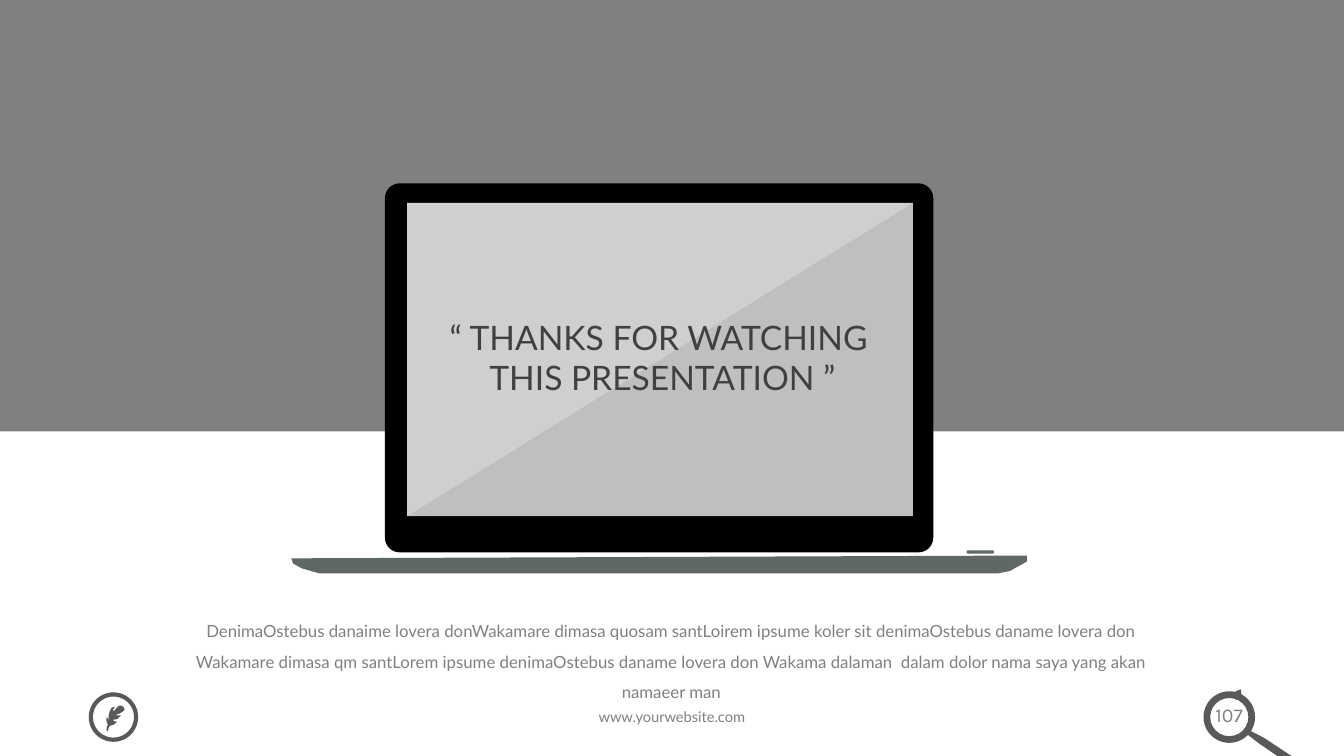
from lxml import etree
from pptx import Presentation
from pptx.dml.color import RGBColor
from pptx.enum.shapes import MSO_SHAPE
from pptx.enum.text import MSO_ANCHOR, MSO_AUTO_SIZE, PP_ALIGN
from pptx.oxml.ns import qn
from pptx.util import Cm, Pt

WHITE = RGBColor(0xFF, 0xFF, 0xFF)
BLACK = RGBColor(0, 0, 0)
GRAY = RGBColor(0x80, 0x80, 0x80)
SCREEN_GRAY = RGBColor(0xBF, 0xBF, 0xBF)
BASE_GRAY = RGBColor(0x5F, 0x67, 0x67)
ICON_GRAY = RGBColor(0x59, 0x59, 0x59)
TITLE_GRAY = RGBColor(0x40, 0x40, 0x40)

deck = Presentation()
deck.slide_width, deck.slide_height = Cm(33.87), Cm(19.05)
page = deck.slides.add_slide(deck.slide_layouts[6])


def add_preset(kind, left, top, width, height, color, *adjustments):
    shape = page.shapes.add_shape(kind, Cm(left), Cm(top), Cm(width), Cm(height))
    shape.shadow.inherit = False
    shape.fill.solid()
    shape.fill.fore_color.rgb = color
    shape.line.fill.background()
    for index, value in enumerate(adjustments):
        shape.adjustments[index] = value
    return shape


def add_outline(points, color):
    corners = [(Cm(x), Cm(y)) for x, y in points]
    builder = page.shapes.build_freeform(*corners[0], scale=1.0)
    builder.add_line_segments(corners[1:], close=True)
    shape = builder.convert_to_shape()
    shape.shadow.inherit = False
    shape.fill.solid()
    shape.fill.fore_color.rgb = color
    shape.line.fill.background()
    return shape


# Upper band
add_preset(MSO_SHAPE.RECTANGLE, 0, 0, 33.87, 10.87, GRAY)

# Laptop
add_preset(MSO_SHAPE.ROUNDED_RECTANGLE, 9.7, 4.62, 13.82, 9.3, BLACK, 0.04)
add_preset(MSO_SHAPE.RECTANGLE, 10.26, 5.11, 12.75, 7.9, SCREEN_GRAY)
add_outline([(7.34, 14.07), (7.39, 14.2), (7.6, 14.32), (8.05, 14.45),
             (25.15, 14.45), (25.45, 14.39), (25.88, 14.15), (25.88, 14)], BASE_GRAY)
add_preset(MSO_SHAPE.ROUNDED_RECTANGLE, 24.36, 13.87, 0.69, 0.08, BASE_GRAY, 0.4)

# Translucent glare on the screen
glare = add_outline([(23.01, 5.11), (10.26, 5.11), (10.26, 13.01)], WHITE)
glare_color = glare.fill._xPr.find(qn("a:solidFill"))[0]
etree.SubElement(glare_color, qn("a:alpha"), val="25000")

# Magnifier around the page number
arrow = add_preset(MSO_SHAPE.RIGHT_ARROW, 31.06, 17.35, 0.28, 0.28, ICON_GRAY, 0.32, 0.64)
arrow.rotation = 298.7
add_preset(MSO_SHAPE.DONUT, 30.33, 17.42, 1.3, 1.3, ICON_GRAY, 0.13)
add_outline([(31.52, 18.42), (31.85, 18.59), (32.82, 19.23), (32.86, 19.29),
             (32.82, 19.35), (32.72, 19.41), (31.75, 18.75), (31.45, 18.52)], ICON_GRAY)

# Feather badge
badge = add_preset(MSO_SHAPE.OVAL, 2.29, 17.5, 1.14, 1.14, WHITE)
badge.fill.background()
badge.line.color.rgb = ICON_GRAY
badge.line.width = Pt(3)
add_outline([(2.72, 18.42), (2.74, 18.34), (2.77, 18.29), (2.87, 18.26),
             (2.95, 18.19), (2.87, 18.17), (2.84, 18.14), (2.96, 18.12),
             (3.05, 18.03), (2.96, 18.03), (2.92, 18.01), (3.02, 17.98),
             (3.1, 17.93), (3.14, 17.88), (3.12, 17.83), (3.07, 17.78),
             (3, 17.78), (2.92, 17.86), (2.87, 17.93), (2.85, 17.88),
             (2.9, 17.81), (2.82, 17.83), (2.77, 17.91), (2.74, 18.03),
             (2.74, 18.16), (2.72, 18.11), (2.69, 18.06), (2.68, 18.16),
             (2.72, 18.26), (2.69, 18.34), (2.69, 18.42), (2.7, 18.43)], ICON_GRAY)

# Texts: place, lines, font, size, color, line spacing, anchor
DESCRIPTION = (
    "DenimaOstebus danaime lovera donWakamare dimasa quosam santLoirem ipsume "
    "koler sit denimaOstebus daname lovera don Wakamare dimasa qm santLorem ipsume "
    "denimaOstebus daname lovera don Wakama dalaman  dalam dolor nama saya yang "
    "akan namaeer man")
TITLE = ["“ THANKS FOR WATCHING", " THIS PRESENTATION ”"]
texts = [
    ((4.22, 15.27, 25.4, 1.7), [DESCRIPTION], "Lato", 12, GRAY, 1.5, MSO_ANCHOR.TOP),
    ((6.4, 7.85, 20.4, 2.31), TITLE, "Lato", 24, TITLE_GRAY, 1.0, MSO_ANCHOR.MIDDLE),
    ((10.8, 17.7, 12.27, 0.74), ["www.yourwebsite.com"], "Lato", 10.5, GRAY, 1.0, MSO_ANCHOR.TOP),
    ((30.2, 17.6, 1.55, 0.86), ["107"], "Karla", 14, GRAY, 1.0, MSO_ANCHOR.TOP),
]
for place, lines, font, size, color, spacing, anchor in texts:
    box = page.shapes.add_textbox(*[Cm(length) for length in place])
    frame = box.text_frame
    frame.word_wrap = True
    frame.auto_size = MSO_AUTO_SIZE.SHAPE_TO_FIT_TEXT
    frame.vertical_anchor = anchor
    for index, line in enumerate(lines):
        para = frame.add_paragraph() if index else frame.paragraphs[0]
        para.alignment = PP_ALIGN.CENTER
        para.line_spacing = spacing
        span = para.add_run()
        span.text = line
        span.font.name = font
        span.font.size = Pt(size)
        span.font.color.rgb = color

deck.save("out.pptx")
